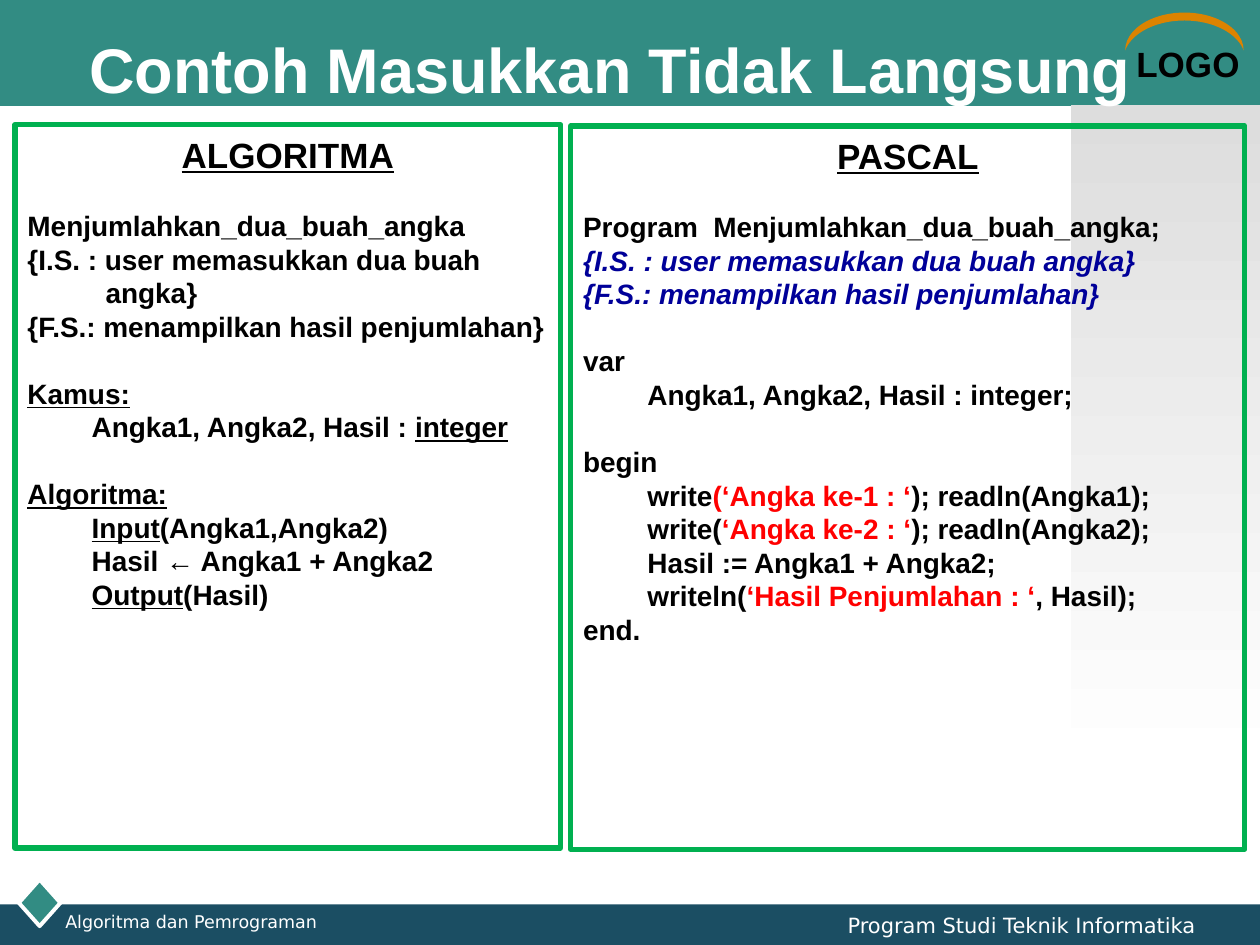
from pptx import Presentation
from pptx import util as u
from pptx.dml.color import RGBColor
from pptx.enum import shapes, text

GREEN, TEAL, NAVY, WHITE, BLACK = "00B050", "328C83", "1B4E63", "FFFFFF", "000000"
HANG, LONG, BLOCK = (26.64, -26.64), (44.64, -44.64), (36.72, 0)
LINE = 19.17
UNDER, RED = {"underline": True}, {"color": "FF0000"}
COMMENT = {"color": "000099", "italic": True}

ALGORITHM = [
    (HANG, 1, [("Menjumlahkan_dua_buah_angka", {})]),
    (LONG, 0, [("{I.S. : user memasukkan dua buah angka}", {})]),
    (LONG, 0, [("{F.S.: menampilkan hasil penjumlahan}", {})]),
    (HANG, 1, [("Kamus:", UNDER)]),
    (BLOCK, 0, [("Angka1, Angka2, Hasil : ", {}), ("integer", UNDER)]),
    (HANG, 1, [("Algoritma:", UNDER)]),
    (BLOCK, 0, [("Input", UNDER), ("(Angka1,Angka2)", {})]),
    (BLOCK, 0, [("Hasil ← Angka1 + Angka2", {})]),
    (BLOCK, 0, [("Output", UNDER), ("(Hasil)", {})]),
]
PASCAL = [
    (HANG, 1, [("Program  Menjumlahkan_dua_buah_angka;", {})]),
    (LONG, 0, [("{I.S. : user memasukkan dua buah angka}", COMMENT)]),
    (HANG, 0, [("{F.S.: menampilkan hasil penjumlahan}", COMMENT)]),
    (HANG, 1, [("var", {})]),
    (BLOCK, 0, [("Angka1, Angka2, Hasil : integer;", {})]),
    (HANG, 1, [("begin", {})]),
    (BLOCK, 0, [("write", {}), ("(‘Angka ke-1 : ‘", RED), ("); readln(Angka1);", {})]),
    (BLOCK, 0, [("write(", {}), ("‘Angka ke-2 : ‘", RED), ("); readln(Angka2);", {})]),
    (BLOCK, 0, [("Hasil := Angka1 + Angka2;", {})]),
    (BLOCK, 0, [("writeln(", {}), ("‘Hasil Penjumlahan : ‘", RED), (", Hasil);", {})]),
    ((0, 0), 0, [("end.", {})]),
]


def rgb(color):
    """Turn a hex string into a colour."""
    return RGBColor.from_string(color)


def add_run(p, words, size=16, color=BLACK, font="Arial", bold=True, italic=False, underline=False):
    """Append a formatted run to a paragraph."""
    r = p.add_run()
    r.text = words
    f = r.font
    f.size, f.name, f.bold, f.italic, f.underline = u.Pt(size), font, bold, italic, underline
    f.color.rgb = rgb(color)


def add_shape(s, kind, box, fill=None, line=None, width=0):
    """Add a preset shape with optional solid fill and outline."""
    sp = s.shapes.add_shape(kind, *map(u.Pt, box))
    sp.shadow.inherit = False
    if fill:
        sp.fill.solid()
        sp.fill.fore_color.rgb = rgb(fill)
    else:
        sp.fill.background()
    if line:
        sp.line.color.rgb = rgb(line)
        sp.line.width = u.Pt(width)
    else:
        sp.line.fill.background()
    return sp


def add_label(s, box, words, align=text.PP_ALIGN.LEFT, anchor=text.MSO_ANCHOR.TOP, inset=7.2, **style):
    """Add a one-line text box."""
    tf = s.shapes.add_textbox(*map(u.Pt, box)).text_frame
    tf.word_wrap = True
    tf.vertical_anchor = anchor
    tf.margin_left = u.Pt(inset)
    p = tf.paragraphs[0]
    p.alignment = align
    add_run(p, words, **style)


def add_panel(s, box, heading, lines):
    """Add an outlined panel with a centred heading and code lines."""
    tf = add_shape(s, shapes.MSO_SHAPE.RECTANGLE, box, line=GREEN, width=3).text_frame
    tf.word_wrap = True
    tf.vertical_anchor = text.MSO_ANCHOR.TOP
    tf.margin_top = u.Pt(4.8)
    p = tf.paragraphs[0]
    p.alignment = text.PP_ALIGN.CENTER
    p.line_spacing = u.Pt(24)
    add_run(p, heading, size=20, underline=True)
    for (left, first), gap, runs in lines:
        p = tf.add_paragraph()
        p.alignment = text.PP_ALIGN.LEFT
        p.line_spacing = u.Pt(LINE)
        p.space_before = u.Pt(gap * LINE)
        pPr = p._p.get_or_add_pPr()
        pPr.set("marL", str(u.Pt(left)))
        pPr.set("indent", str(u.Pt(first)))
        for words, style in runs:
            add_run(p, words, **style)


def add_fade(s, box):
    """Add a rectangle that fades from grey down to white."""
    fill = add_shape(s, shapes.MSO_SHAPE.RECTANGLE, box).fill
    fill.gradient()
    fill.gradient_angle = 270
    for stop, color, place in zip(fill.gradient_stops, ("DDDDDD", WHITE), (0, 1)):
        stop.color.rgb = rgb(color)
        stop.position = place


def add_frame(s):
    """Add the bands and corner decorations."""
    kind = shapes.MSO_SHAPE
    add_shape(s, kind.RECTANGLE, (0, 0, 720, 60.48), TEAL)
    add_shape(s, kind.RECTANGLE, (0, 516.8, 720, 23.2), NAVY)
    add_shape(s, kind.DIAMOND, (10.8, 502.6, 23.76, 26.64), TEAL, WHITE, 2.25)
    add_label(s, (642.24, 20.88, 77.76, 31.5), "LOGO", size=20)
    arc = add_shape(s, kind.MOON, (666, -15.84, 21.6, 67.68), "DC8300")
    arc.adjustments[0] = 0.21
    arc.rotation = 90
    add_fade(s, (612, 60, 108, 378))


def main():
    """Build and save the slide."""
    prs = Presentation()
    prs.slide_width, prs.slide_height = u.Pt(720), u.Pt(540)
    s = prs.slides.add_slide(prs.slide_layouts[6])
    add_frame(s)
    add_panel(s, (8.64, 71.28, 311.76, 413.28), "ALGORITMA", ALGORITHM)
    add_label(s, (33.84, 12.24, 630, 54), "Contoh Masukkan Tidak Langsung",
              anchor=text.MSO_ANCHOR.MIDDLE, inset=17.2, size=36, color=WHITE)
    footer = {"color": WHITE, "font": "DejaVu Sans", "bold": False}
    add_label(s, (30.24, 516.96, 192.24, 16.56), "Algoritma dan Pemrograman", size=10, **footer)
    add_label(s, (405.36, 517.68, 285.12, 17.28), "Program Studi Teknik Informatika",
              align=text.PP_ALIGN.RIGHT, size=12, **footer)
    add_panel(s, (326.16, 72, 385.2, 413.28), "PASCAL", PASCAL)
    prs.save("out.pptx")


if __name__ == "__main__":
    main()
